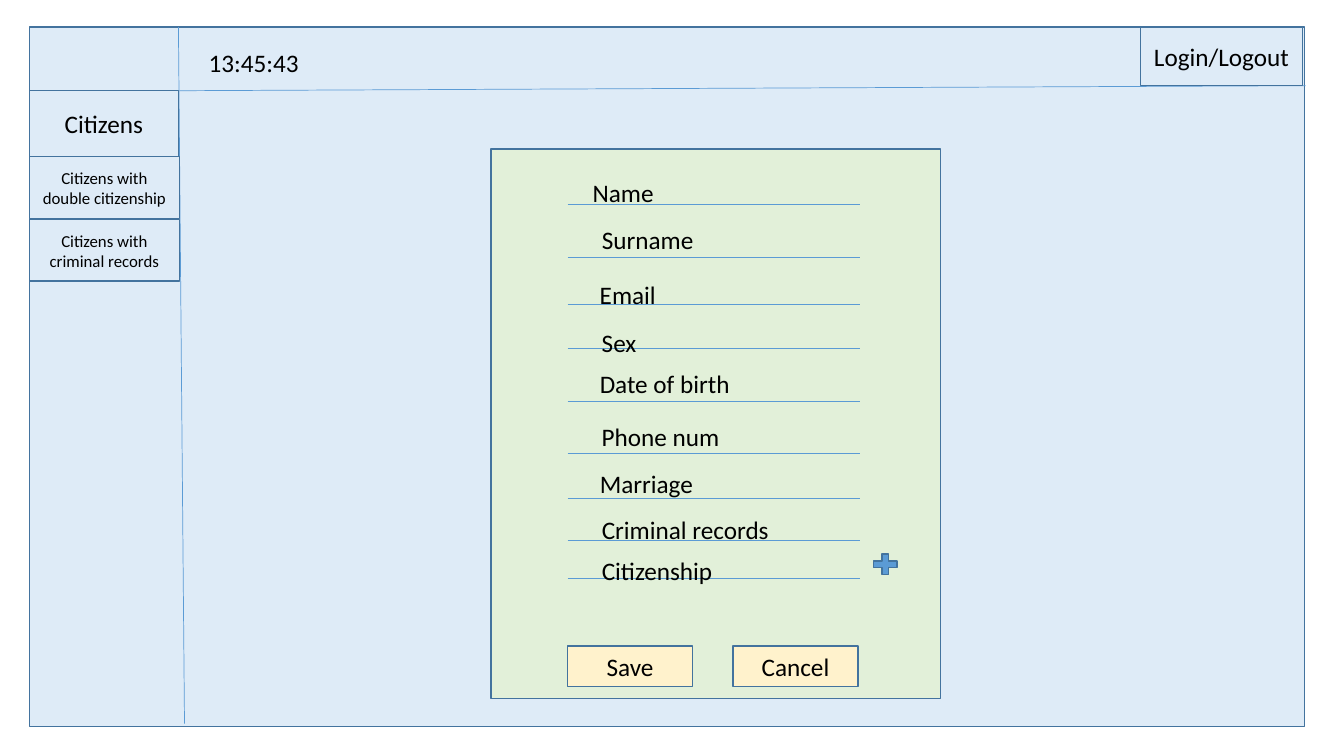
from lxml import etree
from pptx import Presentation
from pptx.dml.color import RGBColor
from pptx.enum.shapes import MSO_CONNECTOR, MSO_SHAPE as Preset
from pptx.enum.text import MSO_ANCHOR, MSO_AUTO_SIZE, PP_ALIGN
from pptx.oxml.ns import qn
from pptx.util import Inches, Pt

COLORS = {
    "page": "DEEBF7",
    "form": "E2F0D9",
    "button": "FFF2CC",
    "accent": "5B9BD5",
    "border": "43739E",
    "text": "000000",
}


class Screen:
    """Holds the style and the slide that the screen is drawn on."""

    def __init__(self, slide, font="Calibri"):
        """Keep the slide and the font."""
        self.slide = slide
        self.font = font

    def color(self, name):
        """Return the named colour."""
        return RGBColor.from_string(COLORS[name])

    def fill_text(self, frame, text, size):
        """Set the text of a frame and format its runs."""
        frame.word_wrap = True
        frame.text = text
        for paragraph in frame.paragraphs:
            for run in paragraph.runs:
                run.font.name = self.font
                run.font.size = Pt(size)
                run.font.color.rgb = self.color("text")

    def box(self, left, top, width, height, fill, text="", size=18,
            preset=Preset.RECTANGLE):
        """Add a bordered shape, with centred text if there is any."""
        shape = self.slide.shapes.add_shape(
            preset, Inches(left), Inches(top), Inches(width), Inches(height))
        shape.shadow.inherit = False
        shape.fill.solid()
        shape.fill.fore_color.rgb = self.color(fill)
        shape.line.color.rgb = self.color("border")
        shape.line.width = Pt(1)
        if text:
            self.fill_text(shape.text_frame, text, size)
            shape.text_frame.vertical_anchor = MSO_ANCHOR.MIDDLE
            shape.text_frame.paragraphs[0].alignment = PP_ALIGN.CENTER

    def label(self, left, top, width, text, size=18):
        """Add a one-line text box."""
        box = self.slide.shapes.add_textbox(
            Inches(left), Inches(top), Inches(width), Inches(0.4))
        self.fill_text(box.text_frame, text, size)
        box.text_frame.auto_size = MSO_AUTO_SIZE.SHAPE_TO_FIT_TEXT

    def rule(self, x1, y1, x2, y2):
        """Add a thin straight line without a shadow."""
        line = self.slide.shapes.add_connector(
            MSO_CONNECTOR.STRAIGHT,
            Inches(x1), Inches(y1), Inches(x2), Inches(y2))
        line.line.color.rgb = self.color("accent")
        line.line.width = Pt(0.5)
        etree.SubElement(line._element.spPr, qn("a:effectLst"))


prs = Presentation()
prs.slide_width, prs.slide_height = Inches(13.33), Inches(7.5)
screen = Screen(prs.slides.add_slide(prs.slide_layouts[6]))

# Page frame with its sidebar and header dividers
PAGE_LEFT, PAGE_TOP = 0.29, 0.27
screen.box(PAGE_LEFT, PAGE_TOP, 12.65, 6.94, "page")
screen.rule(1.77, PAGE_TOP, 1.83, 7.18)
screen.rule(1.78, 0.9, 12.95, 0.85)
screen.box(11.31, PAGE_TOP, 1.61, 0.58, "page", "Login/Logout")
screen.label(1.97, 0.42, 1.82, "13:45:43")

# Sidebar menu: top, width, height, text, size
MENU = [
    (0.9, 1.48, 0.65, "Citizens", 18),
    (1.55, 1.49, 0.62, "Citizens with double citizenship", 12),
    (2.18, 1.49, 0.61, "Citizens with criminal records", 12),
]
for top, width, height, entry, size in MENU:
    screen.box(PAGE_LEFT, top, width, height, "page", entry, size)

# Form fields: name, label left, label top, label width, underline height
FORM_LEFT, FORM_RIGHT = 5.63, 8.53
FIELDS = [
    ("Name", 5.78, 1.71, 2.54, 2.03),
    ("Surname", 5.87, 2.18, 2.02, 2.55),
    ("Email", 5.85, 2.72, 2.06, 3.02),
    ("Sex", 5.87, 3.2, 1.86, 3.46),
    ("Date of birth", 5.85, 3.6, 1.89, 3.98),
    ("Phone num", 5.87, 4.13, 1.53, 4.5),
    ("Marriage", 5.85, 4.6, 1.75, 4.94),
    ("Criminal records", 5.87, 5.05, 2.15, 5.36),
    ("Citizenship", 5.87, 5.46, 1.95, 5.74),
]
screen.box(4.87, 1.48, 4.46, 5.45, "form")
for field, left, top, width, underline in FIELDS:
    screen.rule(FORM_LEFT, underline, FORM_RIGHT, underline)
    screen.label(left, top, width, field)
screen.box(8.62, 5.46, 0.32, 0.28, "accent", preset=Preset.MATH_PLUS)

BUTTON_STEP = 1.64
for column, action in enumerate(["Save", "Cancel"]):
    screen.box(FORM_LEFT + column * BUTTON_STEP, 6.41, 1.24, 0.4,
               "button", action)

prs.save("out.pptx")
